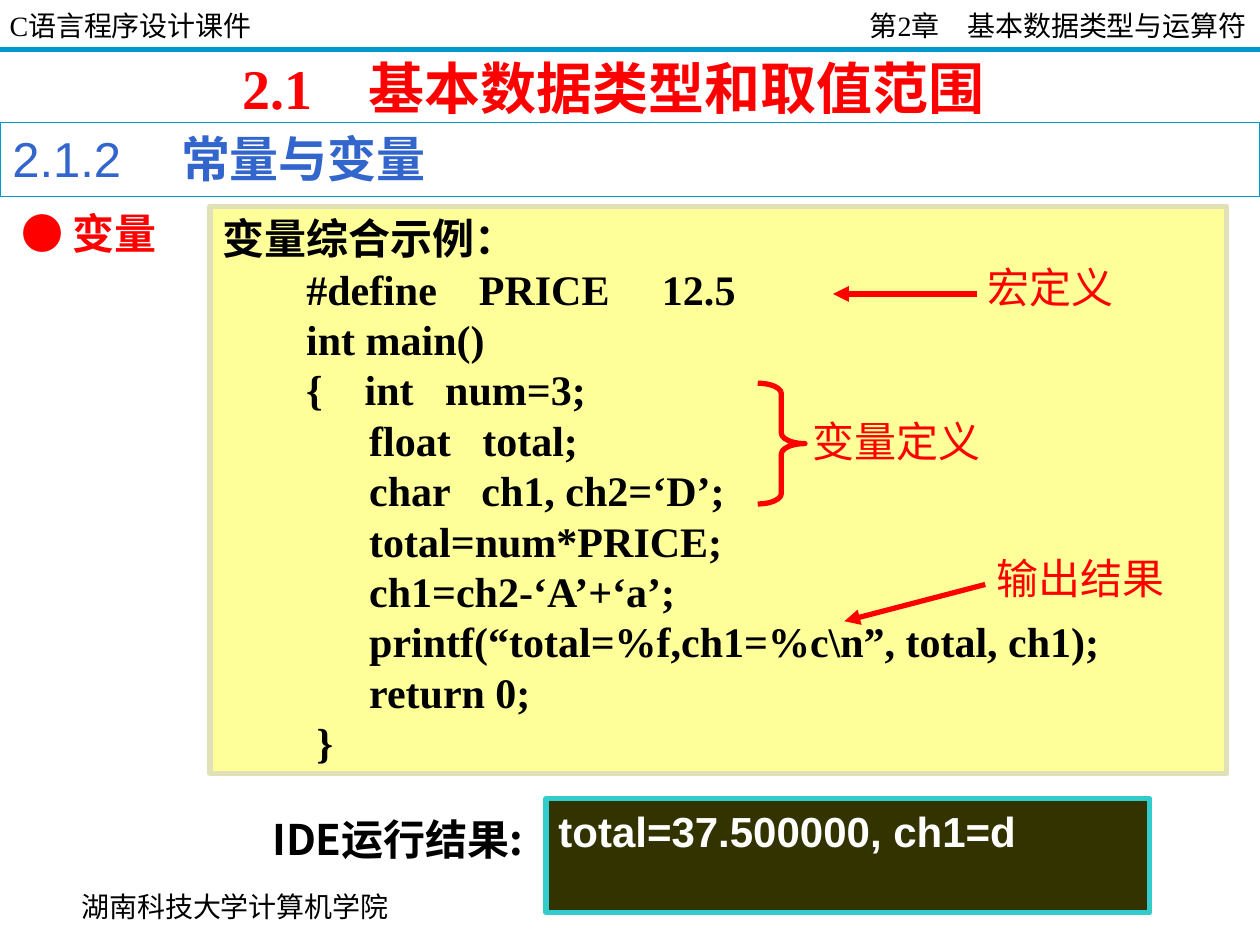
import pptx
import pptx.util
import pptx.dml.color
import pptx.enum.shapes
import pptx.enum.text
import pptx.oxml
from pptx.oxml.ns import qn

Pt = pptx.util.Pt
SHAPES = pptx.enum.shapes.MSO_SHAPE
ANCHOR = pptx.enum.text.MSO_ANCHOR
STRAIGHT = pptx.enum.shapes.MSO_CONNECTOR.STRAIGHT
COLORS = {
    "black": "000000", "white": "FFFFFF", "red": "FF0000",
    "blue": "3366CC", "rule": "0099CC",
    "code fill": "FFFF99", "code line": "E1E1B7",
    "output fill": "333300", "output line": "33CCCC",
}
SERIF, SANS, CHINESE = "Times New Roman", "Arial", "Noto Sans CJK SC"


def rgb(name):
    return pptx.dml.color.RGBColor.from_string(COLORS[name])


def write(box, lines, font, size, color, bold=False, wrap=True,
          anchor=ANCHOR.TOP, left=7.2, top=3.6):
    """Fill a box with one paragraph per line; a line is a list of spans."""
    frame = box.text_frame
    frame.word_wrap = wrap
    frame.vertical_anchor = anchor
    frame.margin_left, frame.margin_top = Pt(left), Pt(top)
    frame.margin_right, frame.margin_bottom = Pt(7.2), Pt(3.6)
    for index, spans in enumerate(lines):
        para = frame.paragraphs[0] if index == 0 else frame.add_paragraph()
        para.alignment = pptx.enum.text.PP_ALIGN.LEFT
        for text in spans:
            span = para.add_run()
            span.text = text
            span.font.name = font
            span.font.size = Pt(size)
            span.font.bold = bold
            span.font.color.rgb = rgb(color)
            east_asian = pptx.oxml.parse_xml(
                '<a:ea xmlns:a="http://schemas.openxmlformats.org/drawingml/2006/main"'
                f' typeface="{CHINESE}"/>')
            span.font._element.find(qn("a:latin")).addnext(east_asian)


deck = pptx.Presentation()
deck.slide_width, deck.slide_height = Pt(720), Pt(540)
page = deck.slides.add_slide(deck.slide_layouts[6])
shapes = page.shapes

# Header and footer
header = shapes.add_textbox(Pt(0), Pt(1.5), Pt(720), Pt(26))
write(header, [["C语言程序设计课件\t第2章　基本数据类型与运算符"]], SERIF, 16, "black",
      anchor=ANCHOR.MIDDLE, left=5.5)
properties = header.text_frame.paragraphs[0]._p.get_or_add_pPr()
tabs = properties.makeelement(qn("a:tabLst"), {})
tabs.append(tabs.makeelement(qn("a:tab"), {"pos": str(Pt(707)), "algn": "r"}))
properties.append(tabs)
footer = shapes.add_textbox(Pt(39.5), Pt(500), Pt(204), Pt(36))
write(footer, [["湖南科技大学计算机学院"]], SERIF, 16, "black", wrap=False,
      anchor=ANCHOR.MIDDLE)

# Framed boxes: section heading, code and program output
frames = {}
for name, area, fill, line, width in [
    ("section", (0, 70, 720, 42.5), None, "rule", 0.75),
    ("code", (120, 118, 581, 324), "code fill", "code line", 3),
    ("output", (312, 456.5, 345, 65), "output fill", "output line", 3),
]:
    box = shapes.add_shape(SHAPES.RECTANGLE, *map(Pt, area))
    box.shadow.inherit = False
    if fill:
        box.fill.solid()
        box.fill.fore_color.rgb = rgb(fill)
    else:
        box.fill.background()
    box.line.color.rgb = rgb(line)
    box.line.width = Pt(width)
    frames[name] = box

write(frames["section"], [["2.1.2　 ", "常量与变量"]], SANS, 28, "blue", top=3.5)
topic = frames["section"].text_frame.paragraphs[0].runs[1]
topic.font.name = CHINESE
topic.font.bold = True

code = """变量综合示例：
　　#define    PRICE     12.5
        int main()
        {    int   num=3;
              float   total;
              char   ch1, ch2=‘D’;
              total=num*PRICE;
              ch1=ch2-‘A’+‘a’;
              printf(“total=%f,ch1=%c\\n”, total, ch1);
              return 0;
         }"""
write(frames["code"], [[line] for line in code.split("\n")], SERIF, 24, "black", True)
write(frames["output"], [["total=37.500000, ch1=d"]], SANS, 24, "white", True)

# Headings
for text, area, font, size, color, left in [
    ("2.1　基本数据类型和取值范围", (131.5, 27, 492, 46), SERIF, 32, "red", 7.2),
    ("● 变量", (5, 115, 112, 36), CHINESE, 24, "red", 7.2),
    ("IDE运行结果:", (155.5, 461.5, 184, 36), CHINESE, 24, "black", 0),
]:
    write(shapes.add_textbox(*map(Pt, area)), [[text]], font, size, color, True,
          left=left)

# Red notes beside the code
for text, left, top, width in [
    ("宏定义", 557.5, 146, 88),
    ("变量定义", 457, 234, 112),
    ("输出结果", 562.5, 312, 112),
]:
    note = shapes.add_textbox(Pt(left), Pt(top), Pt(width), Pt(36))
    write(note, [[text]], SANS, 24, "red", wrap=False)
    note.text_frame.auto_size = pptx.enum.text.MSO_AUTO_SIZE.SHAPE_TO_FIT_TEXT

brace = shapes.add_shape(SHAPES.RIGHT_BRACE, Pt(433), Pt(219), Pt(27), Pt(69))
brace.adjustments[0] = 0.22
brace.shadow.inherit = False
brace.fill.background()
brace.line.color.rgb = rgb("red")
brace.line.width = Pt(3)

# Header rule and the two arrows, which point at their first end
for ends, color, arrow in [
    ((0, 28.5, 720, 28.5), "rule", False),
    ((476, 168, 558.5, 168), "red", True),
    ((482.5, 355, 563, 334), "red", True),
]:
    line = shapes.add_connector(STRAIGHT, *map(Pt, ends))
    line.line.color.rgb = rgb(color)
    line.line.width = Pt(3)
    outline = line.line._get_or_add_ln()
    if arrow:
        outline.append(outline.makeelement(qn("a:headEnd"), {"type": "triangle"}))
    outline.addnext(outline.makeelement(qn("a:effectLst"), {}))

deck.save("out.pptx")
